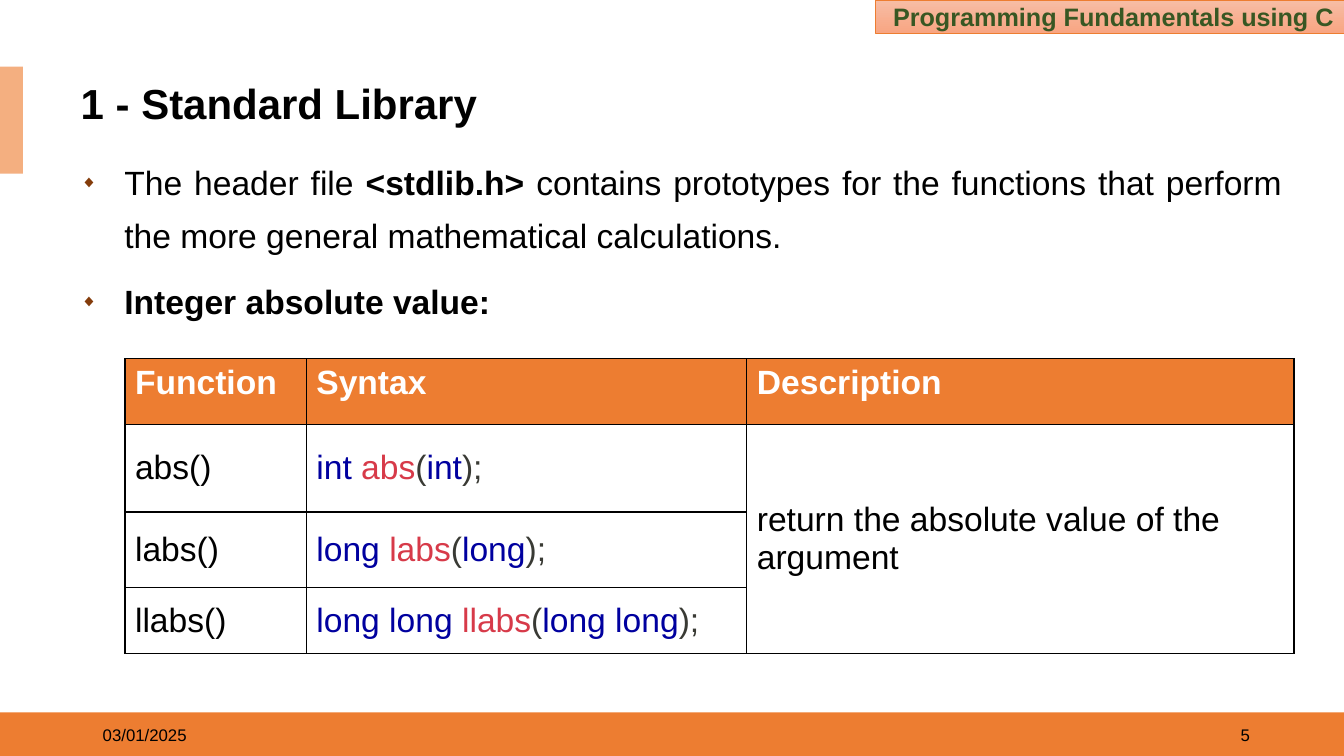
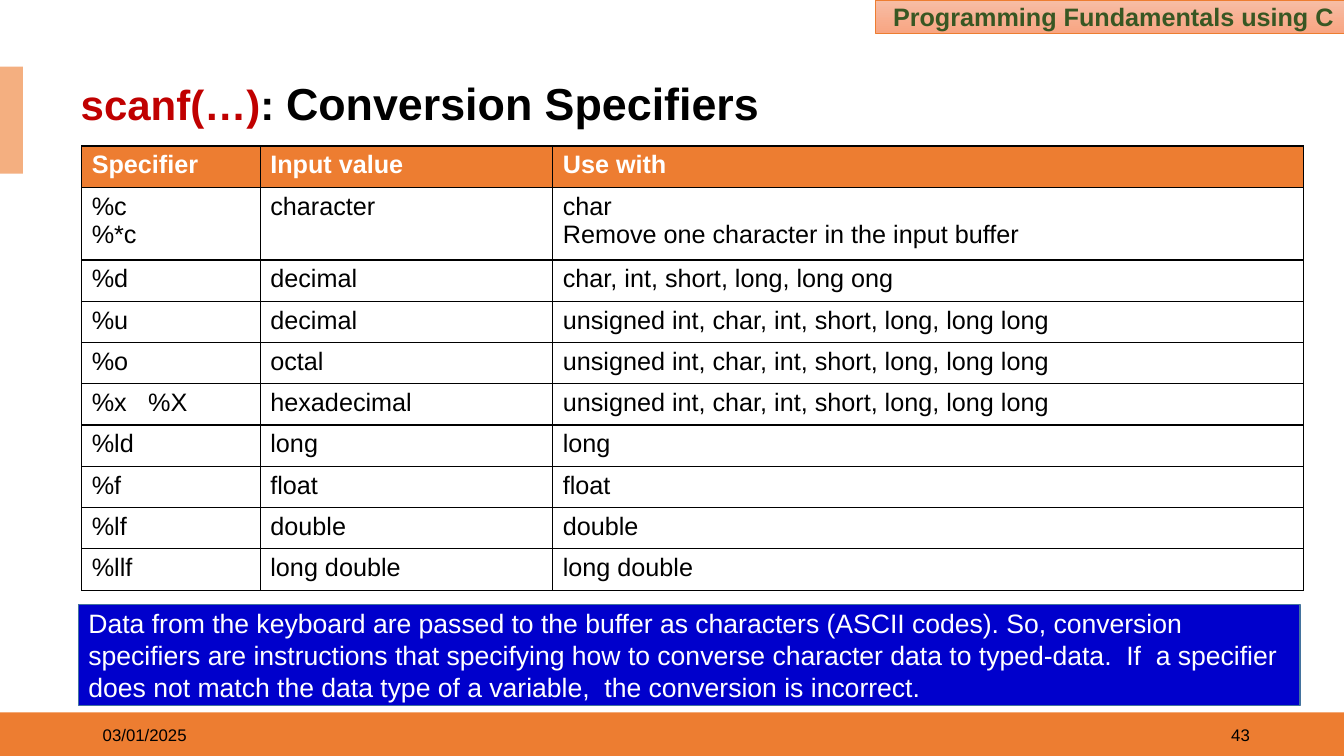
from pptx import Presentation
from pptx.dml.color import RGBColor as RGB
from pptx.enum.shapes import MSO_SHAPE as SHAPE
from pptx.enum.text import MSO_ANCHOR as ANCHOR, MSO_AUTO_SIZE as AUTO, PP_ALIGN as ALIGN
from pptx.oxml import parse_xml
from pptx.oxml.ns import nsdecls
from pptx.util import Cm, Pt

COLORS = {
    "orange": "ED7D31", "peach": "F4AF80", "tag_top": "F7BDA5", "tag_end": "F8A582",
    "green": "385723", "brown": "843C0B", "red": "C00000", "blue": "0000CC",
    "blue_line": "43739E", "black": "000000", "white": "FFFFFF",
    "code_type": "00009F", "code_name": "D73A49", "code_mark": "393A34",
}
FONT = "Arial"
TITLE_ONLY, TITLE_BODY = 5, 1


def rgb(name):
    return RGB.from_string(COLORS[name])


class Deck:
    """Holds the style and the current slide."""

    def __init__(self):
        self.prs = Presentation()
        self.prs.slide_width, self.prs.slide_height = Cm(33.87), Cm(19.05)
        self.slide = None

    # Text
    def runs(self, p, runs, base):
        for run in [runs] if isinstance(runs, str) else runs:
            text, extra = (run, {}) if isinstance(run, str) else run
            r = p.add_run()
            r.text = text
            fmt = {"name": FONT, "color": "black", **base, **extra}
            r.font.color.rgb = rgb(fmt.pop("color"))
            for key, value in fmt.items():
                setattr(r.font, key, value)

    def text(self, tf, paragraphs, base, para=None):
        for i, runs in enumerate(paragraphs):
            p = tf.add_paragraph() if i else tf.paragraphs[0]
            for key, value in (para or {}).items():
                if i or key != "space_before":
                    setattr(p, key, value)
            self.runs(p, runs, base)

    def frame(self, sp, anchor=ANCHOR.MIDDLE):
        tf = sp.text_frame
        fmt = {"word_wrap": True, "auto_size": AUTO.NONE, "vertical_anchor": anchor}
        for key, value in fmt.items():
            setattr(tf, key, value)
        return tf

    def place(self, sp, *box):
        for key, value in zip(("left", "top", "width", "height"), box):
            setattr(sp, key, Cm(value))
        return sp

    # Shapes
    def box(self, *box, fill=None, line=None, weight=1):
        sp = self.slide.shapes.add_shape(SHAPE.RECTANGLE, *map(Cm, box))
        sp.shadow.inherit = False
        if fill:
            sp.fill.solid()
            sp.fill.fore_color.rgb = rgb(fill)
        if line:
            sp.line.color.rgb = rgb(line)
            sp.line.width = Pt(weight)
        else:
            sp.line.fill.background()
        return sp

    def note(self, text, *box):
        sp = self.box(*box, fill="blue", line="blue_line")
        self.text(self.frame(sp), [text], {"size": Pt(19), "color": "white"},
                  {"alignment": ALIGN.LEFT})

    def label(self, text, left, align):
        sp = self.slide.shapes.add_textbox(*map(Cm, (left, 18.01, 7.62, 1.02)))
        self.text(self.frame(sp), [text], {"size": Pt(12)}, {"alignment": align})

    # Shared slide furniture
    def new_slide(self, layout, title, number):
        self.slide = self.prs.slides.add_slide(self.prs.slide_layouts[layout])
        self.box(0, 17.95, 33.87, 1.1, fill="orange")
        self.box(0, 1.68, 0.58, 2.7, fill="peach")
        self.course_tag()
        sp = self.place(self.slide.shapes.title, 1.78, 2.01, 30.78, 1.3)
        sp.fill.solid()
        sp.fill.fore_color.rgb = rgb("white")
        self.text(self.frame(sp), [title], {"size": Pt(30), "bold": True},
                  {"alignment": ALIGN.LEFT, "line_spacing": 0.9})
        self.label("03/01/2025", 2.34, ALIGN.LEFT)
        self.label(str(number), 24.13, ALIGN.RIGHT)

    def course_tag(self):
        sp = self.box(22.07, 0, 11.8, 0.84, line="orange", weight=0.5)
        sp.fill.gradient()
        sp.fill.gradient_angle = 270
        for stop, color in zip(sp.fill.gradient_stops, ("tag_top", "tag_end")):
            stop.color.rgb = rgb(color)
        self.text(self.frame(sp), ["Programming Fundamentals using C"],
                  {"size": Pt(18), "bold": True, "color": "green"},
                  {"alignment": ALIGN.RIGHT})

    # Bulleted body
    def bullets(self, items, *box):
        tf = self.frame(self.place(self.slide.placeholders[1], *box), ANCHOR.TOP)
        self.text(tf, items, {"size": Pt(24)},
                  {"alignment": ALIGN.JUSTIFY, "line_spacing": 1.3, "space_before": Pt(10)})
        tf.paragraphs[0].space_before = Pt(0)
        for p in tf.paragraphs:
            pPr = p._p.get_or_add_pPr()
            pPr.set("marL", str(Cm(1.1)))
            pPr.set("indent", str(-Cm(1.1)))
            for tag in (f'buClr {nsdecls("a")}><a:srgbClr val="{COLORS["brown"]}"/></a:buClr',
                        f'buSzPct {nsdecls("a")} val="50000"/',
                        f'buFont {nsdecls("a")} typeface="{FONT}"/',
                        f'buChar {nsdecls("a")} char="◆"/'):
                pPr.append(parse_xml(f"<a:{tag}>"))

    # Tables
    def borders(self, cell):
        tcPr = cell._tc.get_or_add_tcPr()
        for side in "LRTB":
            tcPr.append(parse_xml(
                f'<a:ln{side} {nsdecls("a")} w="{Pt(1)}"><a:solidFill>'
                f'<a:srgbClr val="{COLORS["black"]}"/></a:solidFill></a:ln{side}>'))

    def table(self, rows, left, top, widths, heights, size, anchor=ANCHOR.TOP):
        tbl = self.slide.shapes.add_table(
            len(rows), len(widths), Cm(left), Cm(top),
            Cm(sum(widths)), Cm(sum(heights))).table
        tbl.horz_banding = False
        for col, width in zip(tbl.columns, widths):
            col.width = Cm(width)
        for i, (row, values) in enumerate(zip(tbl.rows, rows)):
            row.height = Cm(heights[i])
            for cell, paragraphs in zip(row.cells, values):
                self.borders(cell)
                cell.fill.solid()
                cell.fill.fore_color.rgb = rgb("white" if i else "orange")
                cell.vertical_anchor = anchor if i else ANCHOR.TOP
                if isinstance(paragraphs, str):
                    paragraphs = paragraphs.split("\n")
                self.text(cell.text_frame, paragraphs,
                          {"size": Pt(size), "bold": not i,
                           "color": "black" if i else "white"})
        return tbl


def syntax(kind, name):
    """One paragraph holding a coloured function prototype."""
    parts = ((kind + " ", "type"), (name, "name"), ("(", "mark"), (kind, "type"), (");", "mark"))
    return [[(text, {"color": "code_" + role}) for text, role in parts]]


def standard_library(deck):
    deck.new_slide(TITLE_BODY, "1 - Standard Library", 5)
    deck.bullets([
        ["The header file ", ("<stdlib.h>", {"bold": True}),
         " contains prototypes for the functions that perform"
         " the more general mathematical calculations."],
        [("Integer absolute value:", {"bold": True})],
    ], 1.78, 3.66, 30.78, 14.22)
    functions = (("int", "abs"), ("long", "labs"), ("long long", "llabs"))
    rows = [["Function", "Syntax", "Description"]]
    rows += [[name + "()", syntax(kind, name), []] for kind, name in functions]
    rows[1][2] = "return the absolute value of the argument"
    tbl = deck.table(rows, 3.15, 9.04, (4.57, 11.1, 13.79),
                     (1.65, 2.21, 1.91, 1.65), 24, ANCHOR.MIDDLE)
    tbl.cell(1, 2).merge(tbl.cell(3, 2))


def conversion_specifiers(deck):
    deck.new_slide(TITLE_ONLY, [("scanf(…)", {"color": "red"}), ": ",
                                ("Conversion Specifiers", {"size": Pt(32)})], 43)
    unsigned = "unsigned int, char, int, short, long, long long"
    rows = [
        ("Specifier", "Input value", "Use with"),
        ("%c\n%*c", "character", "char\nRemove one character in the input buffer"),
        ("%d", "decimal", "char, int, short, long, long ong"),
        ("%u", "decimal", unsigned),
        ("%o", "octal", unsigned),
        ("%x\t%X", "hexadecimal", unsigned),
        ("%ld", "long", "long"),
        ("%f", "float", "float"),
        ("%lf", "double", "double"),
        ("%llf", "long double", "long double"),
    ]
    heights = [1.83 if "\n" in row[0] else 1.04 for row in rows]
    tbl = deck.table(rows, 2.06, 3.68, (4.5, 7.37, 18.92), heights, 18)
    tbl.cell(5, 0).text_frame.paragraphs[0]._p.get_or_add_pPr().append(parse_xml(
        f'<a:tabLst {nsdecls("a")}><a:tab pos="{Cm(1.42)}" algn="l"/></a:tabLst>'))
    deck.note("Data from the keyboard are passed to the buffer as characters (ASCII codes). "
              "So, conversion specifiers are instructions that specifying how to converse "
              "character data to typed-data.  If  a specifier does not match the data type "
              "of a variable,  the conversion is incorrect.", 1.98, 15.24, 30.78, 2.54)


def main():
    deck = Deck()
    standard_library(deck)
    conversion_specifiers(deck)
    deck.prs.save("out.pptx")


if __name__ == "__main__":
    main()
